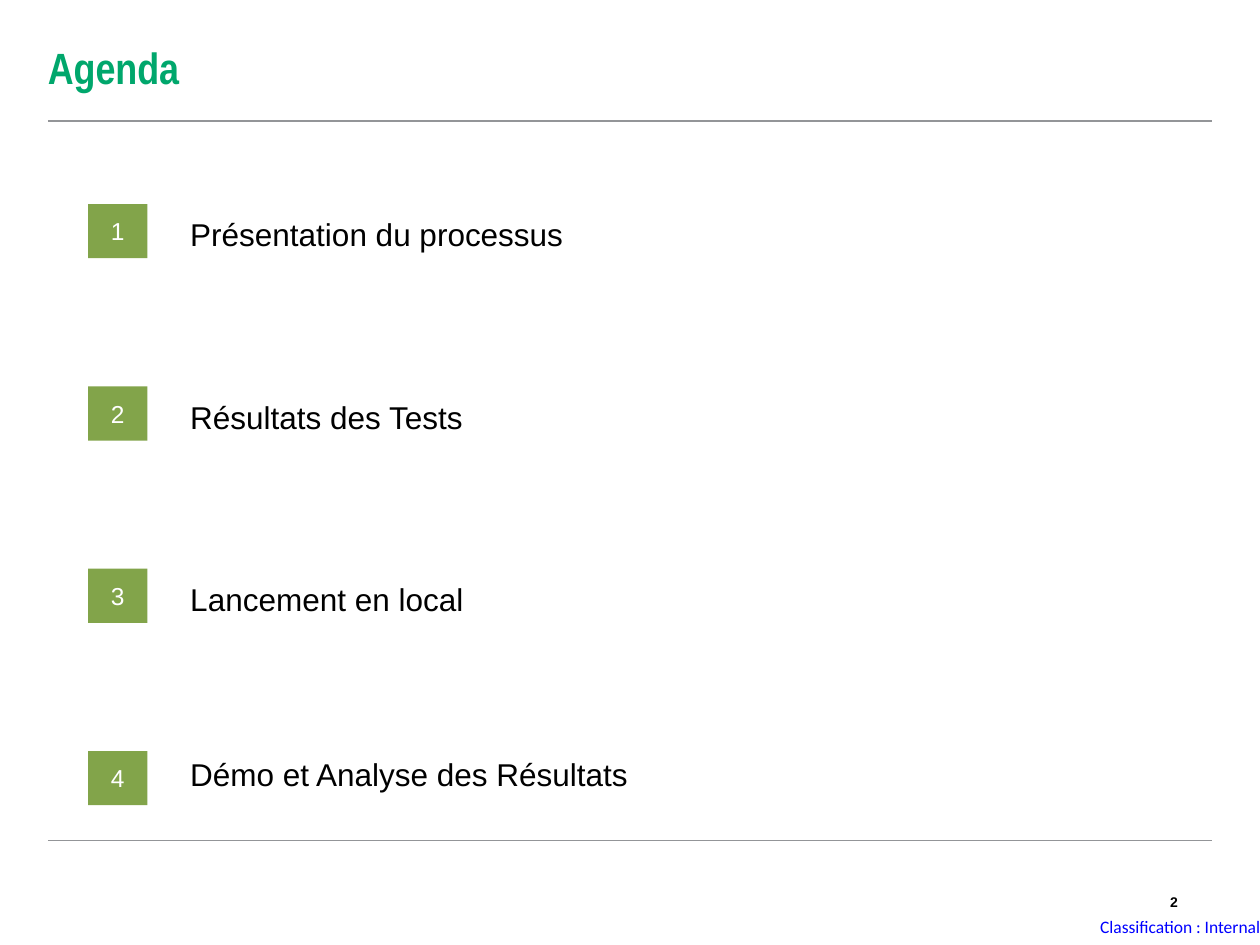
from pptx import Presentation
from pptx.dml.color import RGBColor
from pptx.enum.shapes import MSO_CONNECTOR, MSO_SHAPE
from pptx.enum.text import MSO_ANCHOR, PP_ALIGN
from pptx.oxml.ns import qn
from pptx.util import Inches, Pt
from lxml import etree

LEFT, MID, RIGHT = PP_ALIGN.LEFT, PP_ALIGN.CENTER, PP_ALIGN.RIGHT
TOP, CENTRE = MSO_ANCHOR.TOP, MSO_ANCHOR.MIDDLE
RECT, LINE = MSO_SHAPE.RECTANGLE, MSO_CONNECTOR.STRAIGHT

WIDE, HIGH = 10, 7.5
EDGE = 0.38                     # side margin
SPAN = WIDE - 2 * EDGE
START, STEP = 1.62, 1.447       # first agenda row and row pitch
BADGE, LABEL = 0.7, 1.51        # left edges of the two columns

# Label, width, height and drop below the top of its badge
ITEMS = [
    ("Présentation du processus", 3.39, 0.41, 0.09),
    ("Résultats des Tests", 3.39, 0.41, 0.09),
    ("Lancement en local", 3.39, 0.41, 0.09),
    ("Démo et Analyse des Résultats", 3.54, 0.37, 0.03),
]


def color(code):
    return RGBColor.from_string(code)


def write(shape, text, size, code, font="Arial", bold=False,
          align=LEFT, anchor=TOP, inset=0, wrap=True):
    frame = shape.text_frame
    frame.text = text
    frame.word_wrap = wrap
    frame.vertical_anchor = anchor
    frame.margin_left = frame.margin_right = Inches(inset)
    frame.margin_top = frame.margin_bottom = Inches(inset)
    para = frame.paragraphs[0]
    para.alignment = align
    face = para.runs[0].font
    face.name, face.size, face.bold = font, Pt(size), bold
    face.color.rgb = color(code)


def label(slide, box, text, size, code, **style):
    shape = slide.shapes.add_textbox(*map(Inches, box))
    write(shape, text, size, code, **style)


def badge(slide, box, text):
    shape = slide.shapes.add_shape(RECT, *map(Inches, box))
    shape.shadow.inherit = False
    shape.fill.solid()
    shape.fill.fore_color.rgb = color("82A44A")
    shape.line.fill.background()
    write(shape, text, 14, "FFFFFF", align=MID, anchor=CENTRE, inset=0.1)


def rule(slide, y):
    ends = map(Inches, (EDGE, y, WIDE - EDGE, y))
    line = slide.shapes.add_connector(LINE, *ends)
    line.line.color.rgb = color("939598")
    line.line.width = Pt(1)
    etree.SubElement(line._element.spPr, qn("a:effectLst"))


def main():
    deck = Presentation()
    deck.slide_width, deck.slide_height = Inches(WIDE), Inches(HIGH)
    slide = deck.slides.add_slide(deck.slide_layouts[6])

    # Title and frame lines
    label(slide, (EDGE, 0.13, SPAN, 0.81), "Agenda", 25, "00A76C",
          font="Arial Narrow", bold=True, anchor=CENTRE)
    for y in (0.96, 6.67):
        rule(slide, y)

    # Agenda rows
    for row, (text, width, height, drop) in enumerate(ITEMS):
        y = START + row * STEP
        badge(slide, (BADGE, y, 0.47, 0.43), str(row + 1))
        label(slide, (LABEL, y + drop, width, height), text, 18, "000000")

    # Footer
    label(slide, (9.15, 7.06, 0.2, 0.2), "2", 8, "000000", bold=True,
          align=RIGHT, anchor=CENTRE, wrap=False)
    label(slide, (8.4, 7.21, 1.6, 0.29), "Classification : Internal", 10,
          "0000FF", font="Calibri", align=RIGHT, anchor=CENTRE)

    deck.save("out.pptx")


if __name__ == "__main__":
    main()
